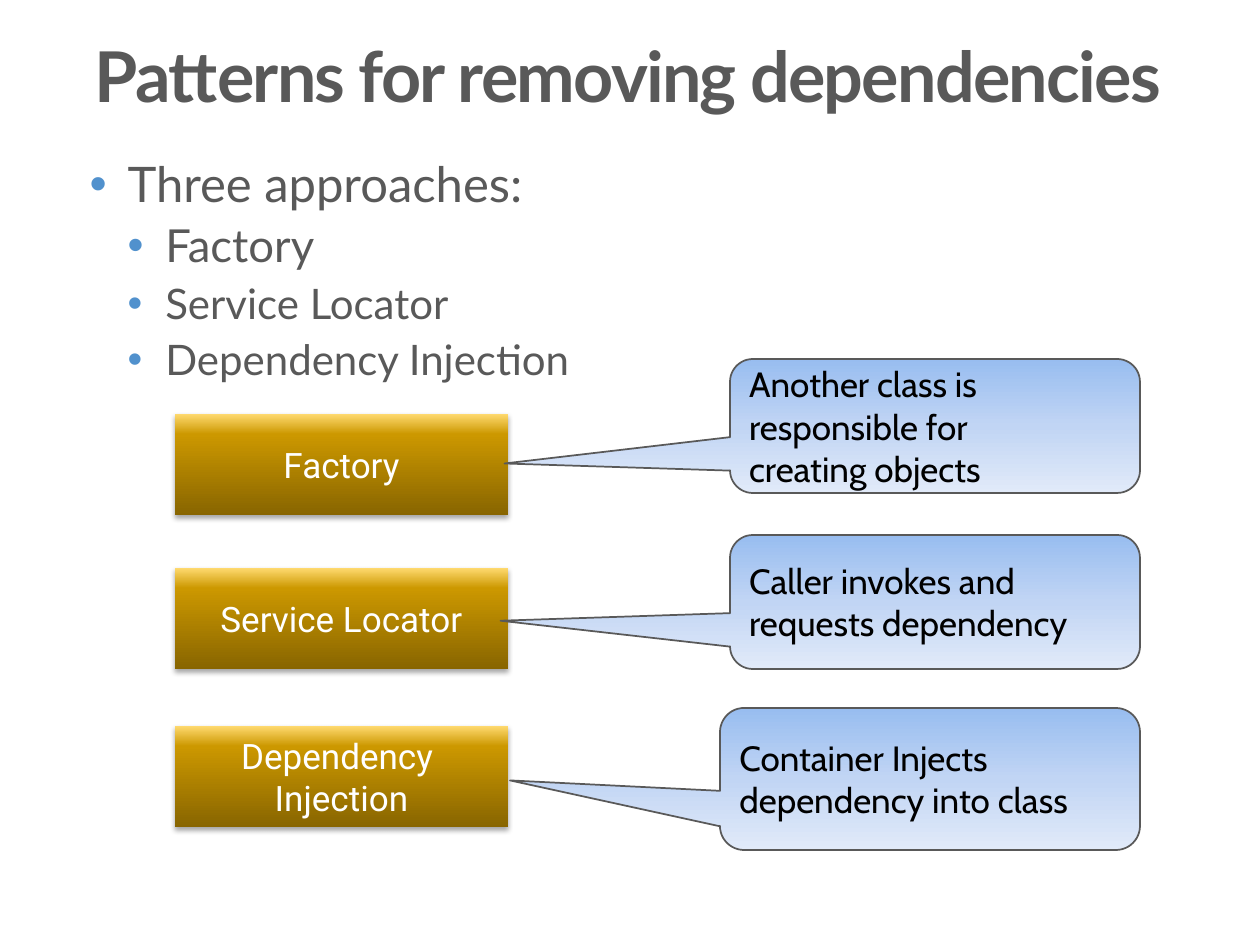
from lxml import etree
from pptx import Presentation, util as u
from pptx.dml.color import RGBColor
from pptx.enum import shapes, text
from pptx.oxml.ns import qn

PX = 914400 / 126
GRAY = RGBColor(0x59, 0x59, 0x59)
WHITE = RGBColor(0xFF, 0xFF, 0xFF)
BLACK = RGBColor(0x00, 0x00, 0x00)
BULLET = RGBColor(0x51, 0x91, 0xCD)
GOLD = [(0, RGBColor(0xFF, 0xDA, 0x70)), (20, RGBColor(0xCC, 0x98, 0x00)),
        (100, RGBColor(0x88, 0x65, 0x00))]
SKY = [(0, RGBColor(0x98, 0xBD, 0xF0)), (50, RGBColor(0xC1, 0xD5, 0xF4)),
       (100, RGBColor(0xE1, 0xEA, 0xF9))]

TITLE = {"name": "Lato", "size": u.Pt(40), "bold": True}
BOX = {"name": "Roboto", "size": u.Pt(20)}
CALLOUT = {"name": "Cabin", "size": u.Pt(20)}
NO_MARGINS = {"margin_left": 0, "margin_top": 0, "margin_right": 0,
              "margin_bottom": 0, "word_wrap": True}
LIST_LINE = {"line_spacing": 0.9, "space_before": u.Pt(6)}

APPROACHES = [("Three approaches:", 1, 28), ("Factory", 2, 26),
              ("Service Locator", 2, 24), ("Dependency Injection", 2, 24)]
PATTERNS = [
    (["Factory"], (175, 414, 333, 101),
     ["Another class is", "responsible for", "creating objects"],
     (730, 359, 410, 134), (-1.05, 0.28)),
    (["Service Locator"], (175, 568, 333, 101),
     ["Caller invokes and", "requests dependency"],
     (730, 535, 410, 134), (-1.06, 0.14)),
    (["Dependency ", "Injection"], (175, 726, 333, 101),
     ["Container Injects", "dependency into class"],
     (720, 708, 420, 142), (-1.0, 0.01)),
]


def emu(box):
    return [round(length * PX) for length in box]


def apply(target, values):
    for name, value in values.items():
        setattr(target, name, value)


def add_xml(parent, tag, **attributes):
    return etree.SubElement(parent, qn(tag), attributes)


def write_line(paragraph, line, font, color):
    run = paragraph.add_run()
    run.text = line
    apply(run.font, font)
    run.font.color.rgb = color
    return run


def write_lines(frame, lines, font, color, align):
    for index, line in enumerate(lines):
        paragraph = frame.add_paragraph() if index else frame.paragraphs[0]
        paragraph.alignment = align
        write_line(paragraph, line, font, color)


def shade(shape, stops):
    shape.fill.gradient()
    shape.fill.gradient_angle = 270
    stop_list = shape._element.spPr.find(qn("a:gradFill")).find(qn("a:gsLst"))
    for stop in list(stop_list):
        stop_list.remove(stop)
    for position, color in stops:
        stop = add_xml(stop_list, "a:gs", pos=str(position * 1000))
        add_xml(stop, "a:srgbClr", val=str(color))


def drop_shadow(shape):
    effects = shape._element.spPr.find(qn("a:effectLst"))
    shadow = add_xml(effects, "a:outerShdw", blurRad=str(u.Pt(3.1)), dist=str(u.Pt(1.8)),
                     dir="5400000", rotWithShape="0")
    color = add_xml(shadow, "a:srgbClr", val=str(BLACK))
    add_xml(color, "a:alpha", val="35000")


def add_title(slide, box):
    frame = slide.shapes.add_textbox(*emu(box)).text_frame
    apply(frame, NO_MARGINS)
    heading = frame.paragraphs[0]
    heading.line_spacing = 0.9
    run = write_line(heading, "Patterns for removing dependencies", TITLE, GRAY)
    run.font._element.set("spc", "-100")


def add_approaches(slide, box):
    frame = slide.shapes.add_textbox(*emu(box)).text_frame
    apply(frame, NO_MARGINS)
    for index, (line, level, size) in enumerate(APPROACHES):
        paragraph = frame.add_paragraph() if index else frame.paragraphs[0]
        apply(paragraph, LIST_LINE)
        paragraph.level = level - 1
        write_line(paragraph, line, {"name": "Lato", "size": u.Pt(size)}, GRAY)
        properties = paragraph._p.get_or_add_pPr()
        properties.set("marL", str(u.Inches(0.3 * (level + 1))))
        properties.set("indent", str(u.Inches(-0.3)))
        add_xml(add_xml(properties, "a:buClr"), "a:srgbClr", val=str(BULLET))
        add_xml(properties, "a:buFont", typeface="Arial")
        add_xml(properties, "a:buChar", char="•")


def add_pattern_box(slide, box, lines):
    pattern = slide.shapes.add_shape(shapes.MSO_SHAPE.RECTANGLE, *emu(box))
    pattern.shadow.inherit = False
    pattern.line.fill.background()
    shade(pattern, GOLD)
    drop_shadow(pattern)
    apply(pattern.text_frame, {"word_wrap": False,
                               "vertical_anchor": text.MSO_ANCHOR.MIDDLE})
    write_lines(pattern.text_frame, lines, BOX, WHITE, text.PP_ALIGN.CENTER)


def add_callout(slide, box, lines, tip):
    callout = slide.shapes.add_shape(
        shapes.MSO_SHAPE.ROUNDED_RECTANGULAR_CALLOUT, *emu(box))
    callout.shadow.inherit = False
    for index, value in enumerate((*tip, 0.17)):
        callout.adjustments[index] = value
    shade(callout, SKY)
    callout.line.color.rgb = GRAY
    callout.line.width = u.Pt(1)
    apply(callout.text_frame, {"word_wrap": True,
                               "vertical_anchor": text.MSO_ANCHOR.MIDDLE})
    write_lines(callout.text_frame, lines, CALLOUT, BLACK, text.PP_ALIGN.LEFT)


def main():
    deck = Presentation()
    apply(deck, {"slide_width": u.Inches(10), "slide_height": u.Inches(7.5)})
    slide = deck.slides.add_slide(deck.slide_layouts[6])
    add_title(slide, (95, 42, 1071, 96))
    add_approaches(slide, (52, 160, 1184, 630))
    for name, name_box, note, note_box, tip in PATTERNS:
        add_pattern_box(slide, name_box, name)
        add_callout(slide, note_box, note, tip)
    deck.save("out.pptx")


if __name__ == "__main__":
    main()
